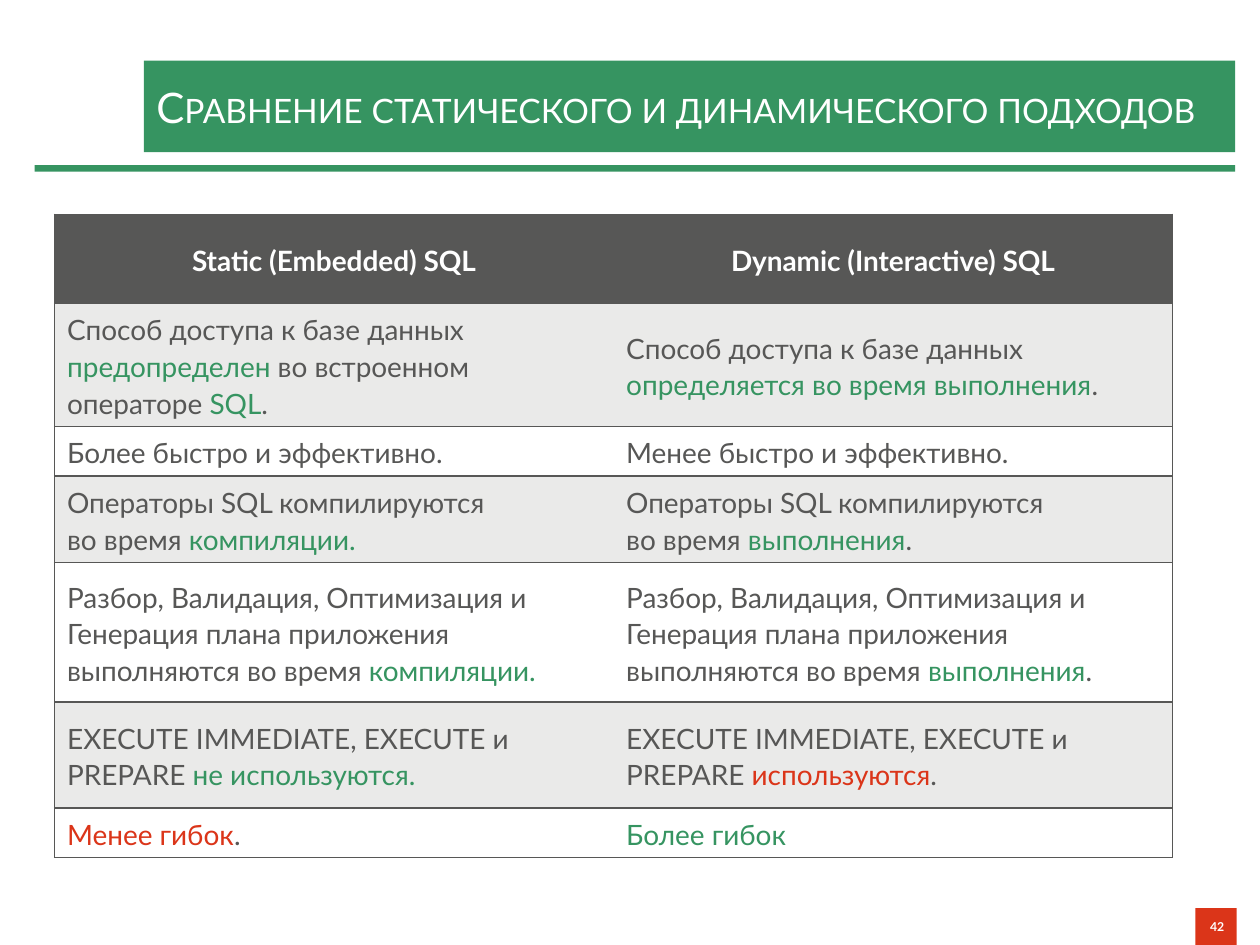
from lxml.etree import SubElement
from pptx import Presentation
from pptx.dml.color import RGBColor
from pptx.enum.shapes import MSO_SHAPE as Shape
from pptx.enum.text import MSO_ANCHOR as Anchor, MSO_AUTO_SIZE as AutoSize, PP_ALIGN as Align
from pptx.oxml.ns import qn
from pptx.util import Cm, Pt

FONT = "Lato"
GREEN = RGBColor(0x36, 0x94, 0x61)
RED = RGBColor(0xDB, 0x35, 0x19)
GRAY = RGBColor(0x57, 0x57, 0x56)
PALE = RGBColor(0xEA, 0xEA, 0xE9)
WHITE = RGBColor(0xFF, 0xFF, 0xFF)

DOT = (".", GRAY)
ACCESS = ("Способ доступа к базе данных ", GRAY)
COMPILED = ("Операторы SQL компилируются \nво время ", GRAY)
PLANNED = (
    "Разбор, Валидация, Оптимизация и Генерация плана приложения выполняются во время ",
    GRAY,
)
PREPARED = ("EXECUTE IMMEDIATE, EXECUTE и PREPARE ", GRAY)
AT_COMPILE = ("компиляции.", GREEN)
AT_RUN = ("выполнения", GREEN)

ROWS = [
    (1.8, [("Static (Embedded) SQL", WHITE)], [("Dynamic (Interactive) SQL", WHITE)]),
    (
        2.48,
        [ACCESS, ("предопределен", GREEN), (" во встроенном операторе ", GRAY), ("SQL", GREEN), DOT],
        [ACCESS, ("определяется во время выполнения", GREEN), DOT],
    ),
    (0.99, [("Более быстро и эффективно.", GRAY)], [("Менее быстро и эффективно.", GRAY)]),
    (1.74, [COMPILED, AT_COMPILE], [COMPILED, AT_RUN, DOT]),
    (2.82, [PLANNED, AT_COMPILE], [PLANNED, AT_RUN, DOT]),
    (
        2.13,
        [PREPARED, ("не используются.", GREEN)],
        [PREPARED, ("используются", RED), DOT],
    ),
    (0.99, [("Менее гибок", RED), DOT], [("Более гибок", GREEN)]),
]


def style_para(para, size, bold=False, color=None):
    para.font.name = FONT
    para.font.size = Pt(size)
    para.font.bold = bold
    if color is not None:
        para.font.color.rgb = color


def fill_solid(item, color):
    item.fill.solid()
    item.fill.fore_color.rgb = color


def add_block(page, left, top, width, height, color):
    block = page.shapes.add_shape(Shape.RECTANGLE, Cm(left), Cm(top), Cm(width), Cm(height))
    block.shadow.inherit = False
    fill_solid(block, color)
    block.line.fill.background()
    return block


def set_title(page, text):
    title = page.shapes.title
    title.left, title.top, title.width, title.height = Cm(2.9), Cm(1.22), Cm(22), Cm(1.85)
    fill_solid(title, GREEN)
    frame = title.text_frame
    frame.word_wrap = True
    frame.auto_size = AutoSize.NONE
    frame.vertical_anchor = Anchor.MIDDLE
    frame.margin_left = frame.margin_right = Cm(0.25)
    frame.margin_top = frame.margin_bottom = Cm(0.3)
    para = frame.paragraphs[0]
    para.text = text
    para.alignment = Align.LEFT
    style_para(para, 24, color=WHITE)
    para._p.pPr.find(qn("a:defRPr")).set("cap", "small")


def add_page_number(page, number):
    frame = add_block(page, 24.1, 18.31, 0.83, 0.74, RED).text_frame
    frame.vertical_anchor = Anchor.MIDDLE
    para = frame.paragraphs[0]
    para.text = number
    para.alignment = Align.RIGHT
    style_para(para, 7, bold=True, color=WHITE)


def set_borders(cell, shown):
    properties = cell._tc.get_or_add_tcPr()
    for index, side in enumerate("LRTB"):
        line = SubElement(properties, qn(f"a:ln{side}"), w=str(Pt(1)))
        if side in shown:
            fill = SubElement(line, qn("a:solidFill"))
            SubElement(fill, qn("a:srgbClr"), val=str(GRAY))
        else:
            SubElement(line, qn("a:noFill"))
        properties.insert(index, line)


def write_spans(para, spans):
    for text, color in spans:
        for index, line in enumerate(text.split("\n")):
            if index:
                para.add_line_break()
            span = para.add_run()
            span.text = line
            span.font.color.rgb = color


def fill_cell(cell, spans, color, is_header, borders):
    fill_solid(cell, color)
    set_borders(cell, borders)
    cell.vertical_anchor = Anchor.MIDDLE
    para = cell.text_frame.paragraphs[0]
    para.alignment = Align.CENTER if is_header else Align.LEFT
    para.line_spacing = Pt(21)
    style_para(para, 16, bold=is_header)
    write_spans(para, spans)


def add_comparison(page):
    height = sum(row[0] for row in ROWS)
    table = page.shapes.add_table(
        len(ROWS), 2, Cm(1.1), Cm(4.32), Cm(22.54), Cm(height)
    ).table
    table.first_row = table.horz_banding = False
    for row_index, (row_height, *cells) in enumerate(ROWS):
        table.rows[row_index].height = Cm(row_height)
        is_header = row_index == 0
        color = GRAY if is_header else (WHITE, PALE)[row_index % 2]
        for column, spans in enumerate(cells):
            borders = ("LTB", "RTB")[column]
            fill_cell(table.cell(row_index, column), spans, color, is_header, borders)


def main():
    deck = Presentation()
    deck.slide_width, deck.slide_height = Cm(25.4), Cm(19.05)
    page = deck.slides.add_slide(deck.slide_layouts[5])
    add_block(page, 0.7, 3.33, 24.2, 0.13, GREEN)
    set_title(page, "Сравнение статического и динамического подходов")
    add_page_number(page, "42")
    add_comparison(page)
    deck.save("out.pptx")


if __name__ == "__main__":
    main()
